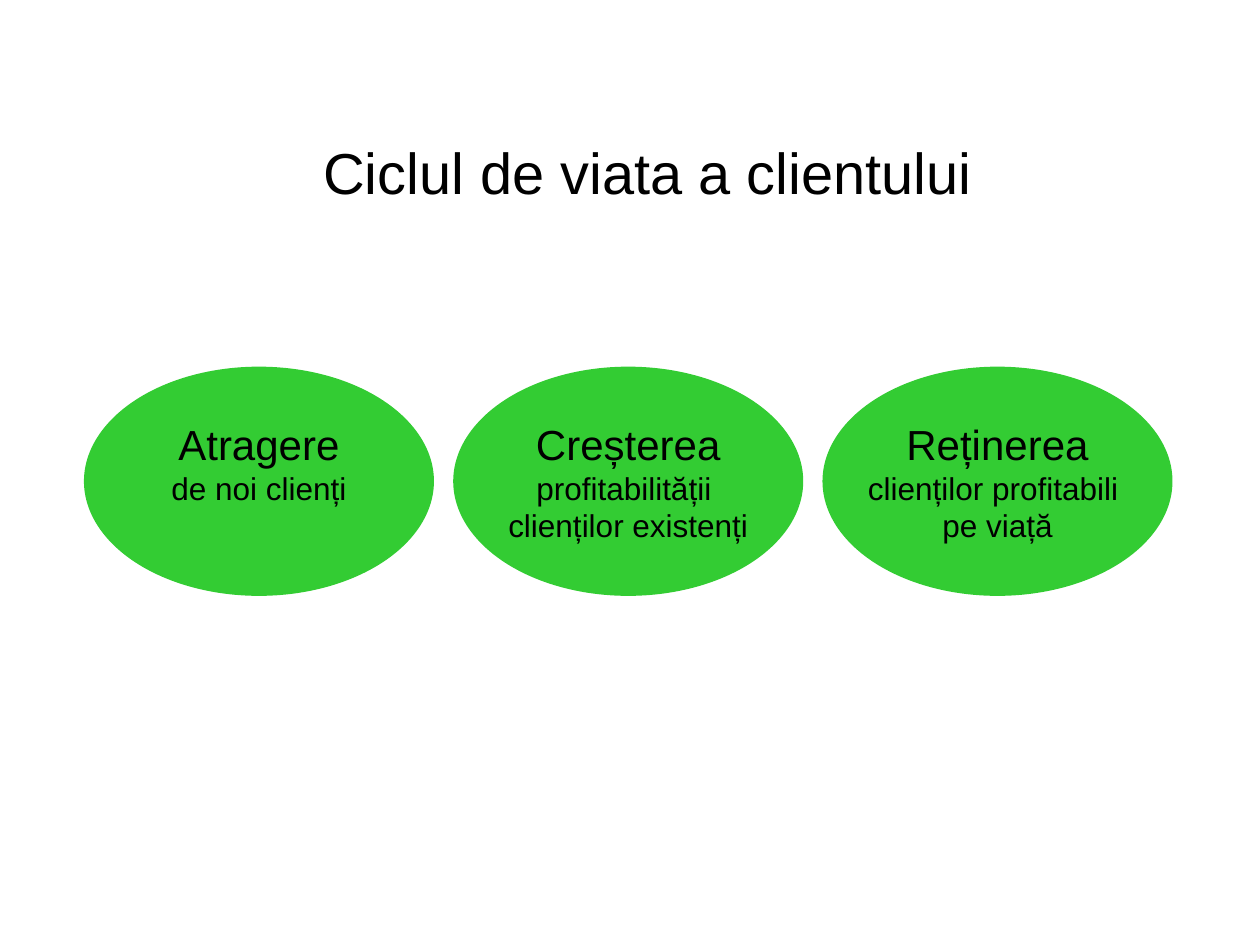
from pptx import Presentation
from pptx.dml.color import RGBColor
from pptx.enum.shapes import MSO_SHAPE
from pptx.enum.text import MSO_ANCHOR, PP_ALIGN
from pptx.util import Pt

BLACK = RGBColor(0x00, 0x00, 0x00)
GREEN = RGBColor(0x33, 0xCC, 0x33)
STAGE_GAP = 11
DETAIL_LINE_HEIGHT = 20.7
STAGES = [
    ("Atragere", ["de noi clienți"]),
    ("Creșterea", ["profitabilității ", "clienților existenți"]),
    ("Reținerea", ["clienților profitabili ", "pe viață"]),
]


def write(paragraph, text, size=18, color=BLACK, font="Arial", line_spacing=None):
    paragraph.alignment = PP_ALIGN.CENTER
    paragraph.line_spacing = line_spacing
    run = paragraph.add_run()
    run.text = text
    run.font.name = font
    run.font.size = Pt(size)
    run.font.color.rgb = color


def place_title(slide, left, top, width, height):
    title = slide.shapes.title
    title.left, title.top = Pt(left), Pt(top)
    title.width, title.height = Pt(width), Pt(height)
    title.text_frame.vertical_anchor = MSO_ANCHOR.MIDDLE
    write(title.text_frame.paragraphs[0], "Ciclul de viata a clientului",
          size=33, line_spacing=0.9)


def draw_stage(slide, heading, details, spare_lines, left, top, width, height):
    stage = slide.shapes.add_shape(
        MSO_SHAPE.OVAL, Pt(left), Pt(top), Pt(width), Pt(height))
    stage.shadow.inherit = False
    stage.fill.solid()
    stage.fill.fore_color.rgb = GREEN
    stage.line.fill.background()
    frame = stage.text_frame
    frame.word_wrap = False
    frame.vertical_anchor = MSO_ANCHOR.MIDDLE
    frame.margin_bottom = Pt(3.6 + spare_lines * DETAIL_LINE_HEIGHT)
    write(frame.paragraphs[0], heading, size=24)
    for detail in details:
        write(frame.add_paragraph(), detail)


def draw_cycle(slide, left, top, width, height):
    stage_width = (width - STAGE_GAP * (len(STAGES) - 1)) / len(STAGES)
    most_lines = max(len(details) for _, details in STAGES)
    for index, (heading, details) in enumerate(STAGES):
        draw_stage(slide, heading, details, most_lines - len(details),
                   left + index * (stage_width + STAGE_GAP), top,
                   stage_width, height)


def main():
    presentation = Presentation()
    presentation.slide_width, presentation.slide_height = Pt(720), Pt(540)
    slide = presentation.slides.add_slide(presentation.slide_layouts[5])
    place_title(slide, 20, 55.5, 700, 90)
    draw_cycle(slide, 48, 209.5, 622, 131)
    presentation.save("out.pptx")


if __name__ == "__main__":
    main()
